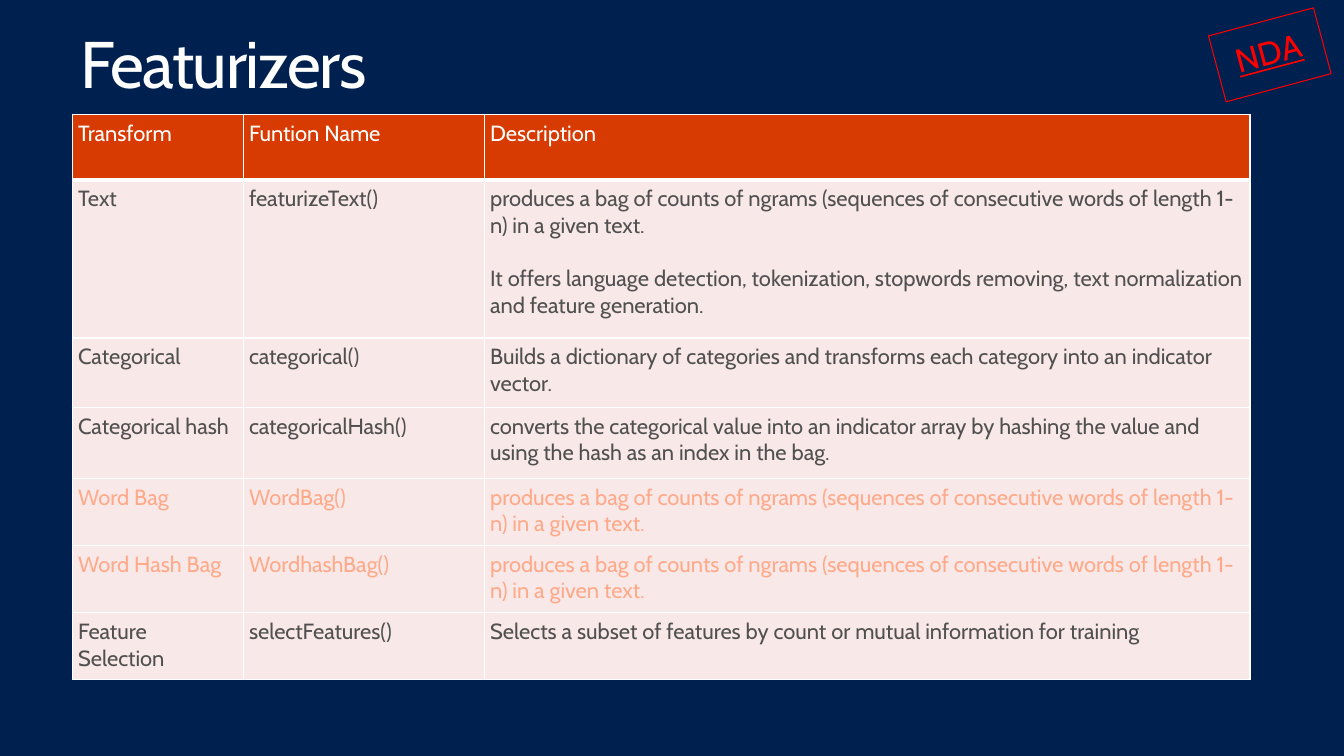
from lxml import etree
from pptx import Presentation
from pptx.dml.color import RGBColor
from pptx.enum.shapes import MSO_SHAPE
from pptx.enum.text import MSO_ANCHOR, MSO_AUTO_SIZE, PP_ALIGN
from pptx.oxml.ns import qn
from pptx.util import Inches, Pt

RECTANGLE = MSO_SHAPE.RECTANGLE
TOP = MSO_ANCHOR.TOP
LEFT = PP_ALIGN.LEFT
FIT_SHAPE = MSO_AUTO_SIZE.SHAPE_TO_FIT_TEXT

NAVY, WHITE, RED = "002050", "FFFFFF", "FF0000"
ORANGE, BLUSH, GRAY, SALMON = "D83B01", "F8E8E7", "505050", "FEAA8A"

NGRAMS = ("produces a bag of counts of ngrams (sequences of consecutive words "
          "of length 1-n) in a given text.")
LANGUAGE = ("It offers language detection, tokenization, stopwords removing, "
            "text normalization and feature generation.")
COLUMN_WIDTHS = [1.73, 2.44, 7.75]

# Row height, text colour, then transform, function and description paragraphs
ROWS = [
    (0.66, WHITE, "Transform", "Funtion Name", ["Description"]),
    (1.6, GRAY, "Text", "featurizeText()", [NGRAMS, LANGUAGE]),
    (0.7, GRAY, "Categorical", "categorical()",
     ["Builds a dictionary of categories and transforms each category into "
      "an indicator vector."]),
    (0.72, GRAY, "Categorical hash", "categoricalHash()",
     ["converts the categorical value into an indicator array by hashing the "
      "value and using the hash as an index in the bag."]),
    (0.68, SALMON, "Word Bag", "WordBag()", [NGRAMS]),
    (0.68, SALMON, "Word Hash Bag", "WordhashBag()", [NGRAMS]),
    (0.68, GRAY, "Feature Selection", "selectFeatures()",
     ["Selects a subset of features by count or mutual information for training"]),
]


def color(value):
    return RGBColor.from_string(value)


class SlideBuilder:
    font = "Cabin"

    def __init__(self, page):
        self.page = page

    def background(self, fill):
        self.page.background.fill.solid()
        self.page.background.fill.fore_color.rgb = color(fill)

    def span(self, para, text, size, ink, underline=False, spacing=None):
        span = para.add_run()
        span.text = text
        span.font.name = self.font
        span.font.size = Pt(size)
        span.font.bold = False
        span.font.underline = underline
        span.font.color.rgb = color(ink)
        if spacing is not None:
            span._r.get_or_add_rPr().set("spc", str(round(spacing * 100)))

    def frame(self, box, inset_x, inset_y, wrap):
        frame = box.text_frame
        frame.word_wrap = wrap
        frame.vertical_anchor = TOP
        frame.margin_left = frame.margin_right = Inches(inset_x)
        frame.margin_top = frame.margin_bottom = Inches(inset_y)
        para = frame.paragraphs[0]
        para.alignment = LEFT
        para.line_spacing = 0.9
        return frame, para

    def title(self, text, left, top, width, height):
        box = self.page.shapes.add_textbox(
            Inches(left), Inches(top), Inches(width), Inches(height))
        _, para = self.frame(box, 0.16, 0.1, True)
        self.span(para, text, 48, WHITE, spacing=-1)

    def stamp(self, text, left, top, width, height, angle):
        box = self.page.shapes.add_shape(
            RECTANGLE, Inches(left), Inches(top), Inches(width), Inches(height))
        box.rotation = angle
        box.shadow.inherit = False
        box.fill.background()
        box.line.color.rgb = color(RED)
        box.line.width = Pt(0.75)
        frame, para = self.frame(box, 0.2, 0.16, False)
        frame.auto_size = FIT_SHAPE
        para.space_after = Pt(6)
        self.span(para, text, 24, RED, underline=True)

    def borders(self, cell, bottom):
        properties = cell._tc.get_or_add_tcPr()
        for side, points in (("L", 1), ("R", 1), ("T", 1), ("B", bottom)):
            line = etree.SubElement(properties, qn("a:ln" + side), w=str(Pt(points)))
            solid = etree.SubElement(line, qn("a:solidFill"))
            etree.SubElement(solid, qn("a:srgbClr"), val=WHITE)

    def cell(self, cell, paragraphs, ink, fill, bottom):
        cell.margin_left = cell.margin_right = Inches(0.06)
        cell.margin_top = cell.margin_bottom = Inches(0.06)
        cell.vertical_anchor = TOP
        self.borders(cell, bottom)
        cell.fill.solid()
        cell.fill.fore_color.rgb = color(fill)
        for index, text in enumerate(paragraphs):
            para = cell.text_frame.paragraphs[0]
            if index:
                para = cell.text_frame.add_paragraph()
                para.space_before = Pt(19.4)
            self.span(para, text, 16, ink)

    def table(self, left, top, widths, rows):
        height = sum(row[0] for row in rows)
        table = self.page.shapes.add_table(
            len(rows), len(widths), Inches(left), Inches(top),
            Inches(sum(widths)), Inches(height)).table
        table.first_row = table.horz_banding = False
        for column, width in zip(table.columns, widths):
            column.width = Inches(width)
        for index, (row_height, ink, transform, function, description) in enumerate(rows):
            table.rows[index].height = Inches(row_height)
            fill, bottom = (BLUSH, 1) if index else (ORANGE, 3)
            for column, paragraphs in enumerate(([transform], [function], description)):
                self.cell(table.cell(index, column), paragraphs, ink, fill, bottom)


def main():
    deck = Presentation()
    deck.slide_width, deck.slide_height = Inches(13.6), Inches(7.65)
    builder = SlideBuilder(deck.slides.add_slide(deck.slide_layouts[6]))
    builder.background(NAVY)

    # Heading and confidentiality stamp
    builder.title("Featurizers", 0.65, 0.22, 11.22, 1.62)
    builder.stamp("NDA", 12.3, 0.21, 1.1, 0.69, 345)

    # Featurizer overview
    builder.table(0.73, 1.16, COLUMN_WIDTHS, ROWS)
    deck.save("out.pptx")


if __name__ == "__main__":
    main()
